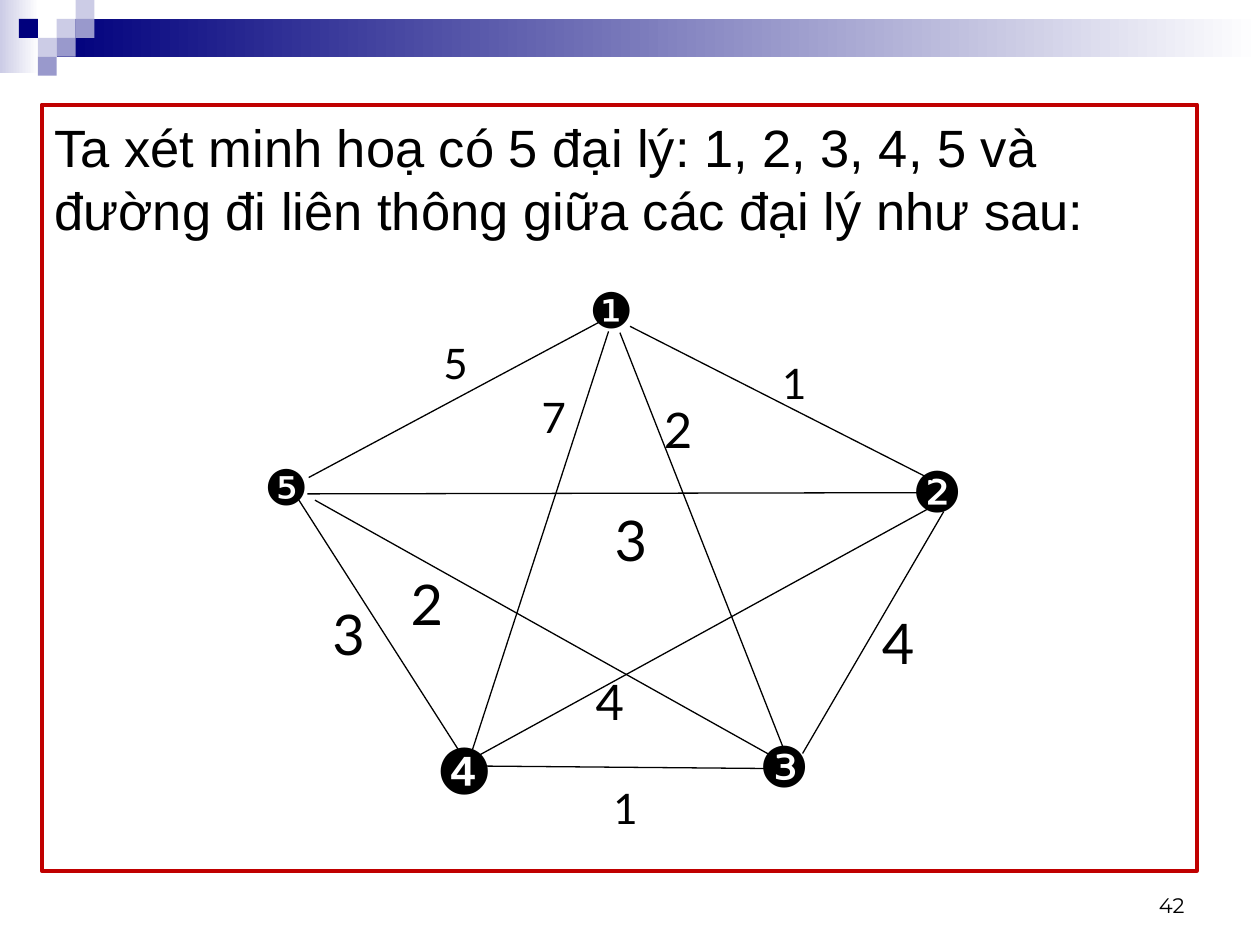
from typing import NamedTuple

from lxml import etree
from pptx import Presentation
from pptx.dml.color import RGBColor
from pptx.enum import shapes, text
from pptx.oxml import ns
from pptx.util import Inches, Pt

BLACK = RGBColor(0x00, 0x00, 0x00)
WHITE = RGBColor(0xFF, 0xFF, 0xFF)
RED = RGBColor(0xC0, 0x00, 0x00)
NAVY = RGBColor(0x00, 0x00, 0x7D)
LILAC = RGBColor(0xCC, 0xCC, 0xE6)
VIOLET = RGBColor(0x99, 0x99, 0xCC)
CELL = 0.15


class Band(NamedTuple):
    left: float
    top: float
    width: float
    height: float
    start: RGBColor


class Square(NamedTuple):
    column: int
    row: int
    color: RGBColor


class Label(NamedTuple):
    text: str
    left: float
    top: float
    width: float
    size: int


class Edge(NamedTuple):
    x1: float
    y1: float
    x2: float
    y2: float


BANDS = [
    Band(0, 0, 0.31, 0.58, LILAC),
    Band(0.45, 0.15, 9.55, 0.3, NAVY),
]
SQUARES = [
    Square(3, 1, LILAC),
    Square(4, 0, LILAC),
    Square(4, 1, VIOLET),
    Square(2, 2, LILAC),
    Square(1, 1, NAVY),
    Square(3, 2, VIOLET),
    Square(2, 3, VIOLET),
]
NODES = [
    Label("❶", 4.58, 2.17, 0.69, 28),
    Label("❷", 7.14, 3.57, 0.69, 32),
    Label("❸", 5.93, 5.76, 0.69, 32),
    Label("❹", 3.37, 5.76, 0.83, 36),
    Label("❺", 2, 3.57, 0.69, 28),
]
EDGES = [
    Edge(4.75, 2.56, 2.45, 3.79),
    Edge(2.36, 3.95, 3.67, 6),
    Edge(3.84, 6.08, 6.18, 6.1),
    Edge(5, 2.59, 7.4, 3.81),
    Edge(7.49, 4.06, 6.37, 5.98),
    Edge(4.92, 2.64, 6.23, 5.97),
    Edge(4.83, 2.63, 3.74, 5.98),
    Edge(2.5, 3.97, 6.18, 6.03),
    Edge(7.4, 4.02, 3.81, 5.99),
    Edge(2.44, 3.92, 7.4, 3.91),
]
WEIGHTS = [
    Label("1", 6.11, 2.79, 0.56, 24),
    Label("2", 5.17, 3.12, 0.56, 28),
    Label("7", 4.2, 3.06, 0.69, 24),
    Label("5", 3.42, 2.63, 0.69, 24),
    Label("3", 4.78, 3.96, 0.69, 32),
    Label("4", 6.9, 4.78, 0.56, 32),
    Label("2", 3.16, 4.47, 0.69, 32),
    Label("4", 4.63, 5.28, 0.83, 28),
    Label("3", 2.54, 4.71, 0.83, 32),
    Label("1", 4.77, 6.16, 0.56, 24),
]


def add_block(page, left: float, top: float, width: float, height: float):
    """Add a rectangle without line or shadow, ready to be filled."""
    block = page.shapes.add_shape(
        shapes.MSO_SHAPE.RECTANGLE,
        Inches(left), Inches(top), Inches(width), Inches(height))
    block.shadow.inherit = False
    block.line.fill.background()
    return block


def draw_band(page, band: Band) -> None:
    fill = add_block(page, band.left, band.top, band.width, band.height).fill
    fill.gradient()
    fill.gradient_angle = 0
    for stop, color, position in zip(fill.gradient_stops, (band.start, WHITE), (0, 1)):
        stop.color.rgb = color
        stop.position = position


def draw_square(page, square: Square) -> None:
    fill = add_block(page, square.column * CELL, square.row * CELL, CELL, CELL).fill
    fill.solid()
    fill.fore_color.rgb = square.color


def draw_edge(page, edge: Edge) -> None:
    line = page.shapes.add_connector(
        shapes.MSO_CONNECTOR.STRAIGHT, *(Inches(value) for value in edge))
    line.line.color.rgb = BLACK
    line.line.width = Pt(0.75)
    etree.SubElement(line._element.spPr, ns.qn("a:effectLst"))


def format_runs(para, font_name: str, size: int) -> None:
    for run in para.runs:
        run.font.name = font_name
        run.font.size = Pt(size)
        run.font.color.rgb = BLACK


def draw_label(page, label: Label, font_name: str):
    height = label.size / 60 + 0.1
    box = page.shapes.add_textbox(
        Inches(label.left), Inches(label.top), Inches(label.width), Inches(height))
    box.text_frame.word_wrap = True
    box.text_frame.text = label.text
    format_runs(box.text_frame.paragraphs[0], font_name, label.size)
    return box


def fill_statement(body) -> None:
    """Turn the body placeholder into the red frame with the statement."""
    body.left, body.top = Inches(0.33), Inches(0.83)
    body.width, body.height = Inches(9.17), Inches(6.08)
    body.line.color.rgb = RED
    body.line.width = Pt(2.25)
    frame = body.text_frame
    frame.auto_size = text.MSO_AUTO_SIZE.NONE
    frame.margin_top = Inches(0.08)
    frame.text = ("Ta xét minh hoạ có 5 đại lý: 1, 2, 3, 4, 5 và "
                  "đường đi liên thông giữa các đại lý như sau:")
    para = frame.paragraphs[0]
    properties = para._p.get_or_add_pPr()
    properties.set("marL", "0")
    properties.set("indent", "0")
    etree.SubElement(properties, ns.qn("a:buNone"))
    para.space_before = Pt(0)
    para.line_spacing = Pt(36)
    format_runs(para, "Arial", 30)


def main() -> None:
    deck = Presentation()
    deck.slide_width, deck.slide_height = Inches(10), Inches(7.5)
    page = deck.slides.add_slide(deck.slide_layouts[1])
    title = page.shapes.title._element
    title.getparent().remove(title)
    fill_statement(page.placeholders[1])

    for band in BANDS:
        draw_band(page, band)
    for square in SQUARES:
        draw_square(page, square)
    for node in NODES:
        draw_label(page, node, "Arial")
    for edge in EDGES:
        draw_edge(page, edge)
    for weight in WEIGHTS:
        draw_label(page, weight, "Lato")

    number = draw_label(page, Label("42", 7.17, 6.83, 2.33, 12), "Montserrat")
    number.height = Inches(0.5)
    number.text_frame.vertical_anchor = text.MSO_ANCHOR.BOTTOM
    number.text_frame.paragraphs[0].alignment = text.PP_ALIGN.RIGHT
    deck.save("out.pptx")


if __name__ == "__main__":
    main()
